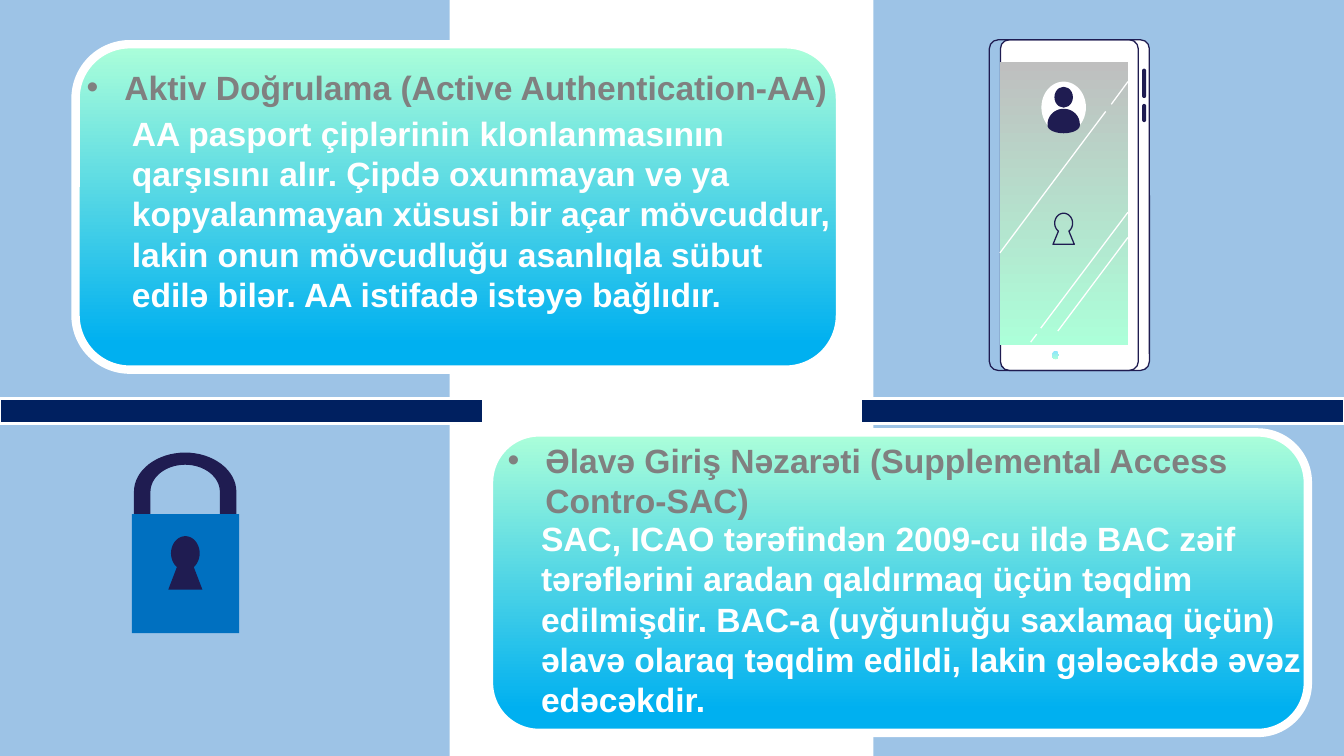
from math import cos, radians, sin

from lxml import etree
from pptx import Presentation
from pptx.dml.color import RGBColor
from pptx.enum import shapes as kinds, text as txt
from pptx.oxml.ns import qn
from pptx.util import Pt

SKY, WHITE, INK, NAVY, BLUE, GREY = "9DC3E6", "FFFFFF", "1F1C51", "002060", "0070C0", "808080"
MINT = "ACFFD9"
CARD_BLEND = [(0, MINT), (0.92, "00B0F0")]
SCREEN_BLEND = [(0, "BFBFBF"), (1, MINT)]
BUTTON_BLEND = [(0, "8BE3FF"), (1, MINT)]
TEXT_FORMAT = {"name": "Arial", "size": Pt(24), "bold": True}
RECT = kinds.MSO_SHAPE.RECTANGLE
ROUND = kinds.MSO_SHAPE.ROUNDED_RECTANGLE
OVAL = kinds.MSO_SHAPE.OVAL

AA_TITLE = "Aktiv Doğrulama (Active Authentication-AA)"
AA_BODY = (
    "AA pasport çiplərinin klonlanmasının qarşısını alır. Çipdə oxunmayan və ya "
    "kopyalanmayan xüsusi bir açar mövcuddur, lakin onun mövcudluğu asanlıqla sübut "
    "edilə bilər. AA istifadə istəyə bağlıdır."
)
SAC_TITLE = "Əlavə Giriş Nəzarəti (Supplemental Access Contro-SAC)"
SAC_BODY = (
    "SAC, ICAO tərəfindən 2009-cu ildə BAC zəif tərəflərini aradan qaldırmaq üçün təqdim "
    "edilmişdir. BAC-a (uyğunluğu saxlamaq üçün) əlavə olaraq təqdim edildi, lakin "
    "gələcəkdə əvəz edəcəkdir."
)


def color(value):
    return RGBColor.from_string(value)


def paint(shape, fill=None, line=None, width=0.9):
    """Style a shape; fill is a hex colour, a list of gradient stops or None."""
    shape.shadow.inherit = False
    if fill is None:
        shape.fill.background()
    elif isinstance(fill, str):
        shape.fill.solid()
        shape.fill.fore_color.rgb = color(fill)
    else:
        shape.fill.gradient()
        shape.fill.gradient_angle = 270
        for stop, (position, value) in zip(shape.fill.gradient_stops, fill):
            stop.position = position
            stop.color.rgb = color(value)
    if line is None:
        shape.line.fill.background()
    else:
        shape.line.color.rgb = color(line)
        shape.line.width = Pt(width)


def add_block(slide, kind, box, fill=None, line=None, width=0.9, corner=None):
    block = slide.shapes.add_shape(kind, *map(Pt, box))
    if corner is not None:
        block.adjustments[0] = corner
    paint(block, fill, line, width)


def add_outline(slide, points, fill=None, line=None):
    start, *rest = [(Pt(x), Pt(y)) for x, y in points]
    builder = slide.shapes.build_freeform(*start)
    builder.add_line_segments(rest, close=True)
    paint(builder.convert_to_shape(), fill, line)


def arc(cx, cy, rx, ry, start, end, steps=32):
    """Points on an ellipse; angles run clockwise in degrees from the right."""
    angles = [radians(start + (end - start) * i / steps) for i in range(steps + 1)]
    return [(cx + rx * cos(a), cy + ry * sin(a)) for a in angles]


def add_keyhole(slide, left, top, width, height, fill=None, line=None):
    middle = left + width / 2
    bow = arc(middle, top + 0.32 * height, 0.42 * width, 0.32 * height, 126, 414)
    foot = [(left + width, top + height), (left, top + height)]
    add_outline(slide, bow + foot, fill, line)


def add_glint(slide, *ends):
    glint = slide.shapes.add_connector(kinds.MSO_CONNECTOR.STRAIGHT, *map(Pt, ends))
    glint.line.color.rgb = color(WHITE)
    glint.line.width = Pt(0.9)
    etree.SubElement(glint.element.spPr, qn("a:effectLst"))


def add_text(slide, box, words, ink, bullet=False, wrap=True):
    frame = slide.shapes.add_textbox(*map(Pt, box)).text_frame
    frame.word_wrap = wrap
    frame.auto_size = txt.MSO_AUTO_SIZE.SHAPE_TO_FIT_TEXT
    paragraph = frame.paragraphs[0]
    if bullet:
        properties = paragraph._p.get_or_add_pPr()
        properties.set("marL", str(Pt(27)))
        properties.set("indent", str(-Pt(27)))
        etree.SubElement(properties, qn("a:buFont"), typeface="Arial")
        etree.SubElement(properties, qn("a:buChar"), char="•")
    run = paragraph.add_run()
    run.text = words
    for key, value in TEXT_FORMAT.items():
        setattr(run.font, key, value)
    run.font.color.rgb = color(ink)


def add_phone(slide):
    add_block(slide, ROUND, (714.6, 28.4, 106.4, 236.2), WHITE, INK, corner=0.06)
    for top, height in ((49, 21), (74.2, 13)):
        add_block(slide, ROUND, (815.8, top, 2.9, height), INK, corner=0.5)
    add_block(slide, ROUND, (706.7, 28.4, 106.4, 236.2), None, INK, corner=0.06)
    add_block(slide, RECT, (714, 44.5, 92, 202), SCREEN_BLEND)
    add_block(slide, OVAL, (751.7, 250.6, 4.7, 6.1), BUTTON_BLEND)
    add_avatar(slide)
    add_keyhole(slide, 752.2, 152.3, 15.2, 22.2, line=INK)
    for ends in (
        (805.7, 151.6, 743.4, 234.4),
        (805.7, 58.3, 793.8, 74.5),
        (789.8, 79.6, 714.2, 180.7),
        (740.5, 238.7, 736.2, 244.4),
        (805.7, 169.6, 755.6, 236.5),
    ):
        add_glint(slide, *ends)


def add_avatar(slide):
    middle = 759.8
    add_block(slide, OVAL, (middle - 15.9, 58.3, 31.8, 36.8), WHITE)
    add_block(slide, OVAL, (middle - 6.6, 62, 13.2, 14.9), INK)
    shoulders = arc(middle, 88.6, 11.5, 10.9, 180, 360)
    chest = arc(middle, 89.6, 11.5, 5.6, 0, 180)
    add_outline(slide, shoulders + chest, INK)


def add_padlock(slide):
    middle, spring, base = 132.3, 351.4, 372
    outer = arc(middle, spring, 36.6, 28.1, 180, 360)
    inner = arc(middle, spring, 24.8, 19.4, 360, 180)
    right_leg = [(middle + 36.6, base), (middle + 24.8, base)]
    left_leg = [(middle - 24.8, base), (middle - 36.6, base)]
    add_outline(slide, outer + right_leg + inner + left_leg, INK)
    add_block(slide, RECT, (94.2, 367.2, 76.6, 85), BLUE)
    add_keyhole(slide, 120.2, 383, 24.4, 38.2, INK)


def main():
    deck = Presentation()
    deck.slide_width, deck.slide_height = Pt(960), Pt(540)
    slide = deck.slides.add_slide(deck.slide_layouts[6])
    backdrop = slide.background.fill
    backdrop.solid()
    backdrop.fore_color.rgb = color(SKY)

    add_block(slide, RECT, (321.2, 0, 302.8, 540), WHITE)
    for card in ((54, 31.6, 546, 232.4), (349.3, 308.9, 584.9, 214.6)):
        add_block(slide, ROUND, card, CARD_BLEND, WHITE, 6)
    add_phone(slide)
    add_padlock(slide)
    for left in (0, 615):
        add_block(slide, RECT, (left, 284.8, 345, 18), NAVY, WHITE, 2)

    add_text(slide, (87.1, 77, 524.9, 152.6), AA_BODY, WHITE)
    add_text(slide, (54.7, 44, 548.6, 36), AA_TITLE, GREY, bullet=True, wrap=False)
    add_text(slide, (355.5, 310.5, 544.3, 65.5), SAC_TITLE, GREY, bullet=True)
    add_text(slide, (379.4, 366.5, 580.3, 152.6), SAC_BODY, WHITE)
    deck.save("out.pptx")


if __name__ == "__main__":
    main()
